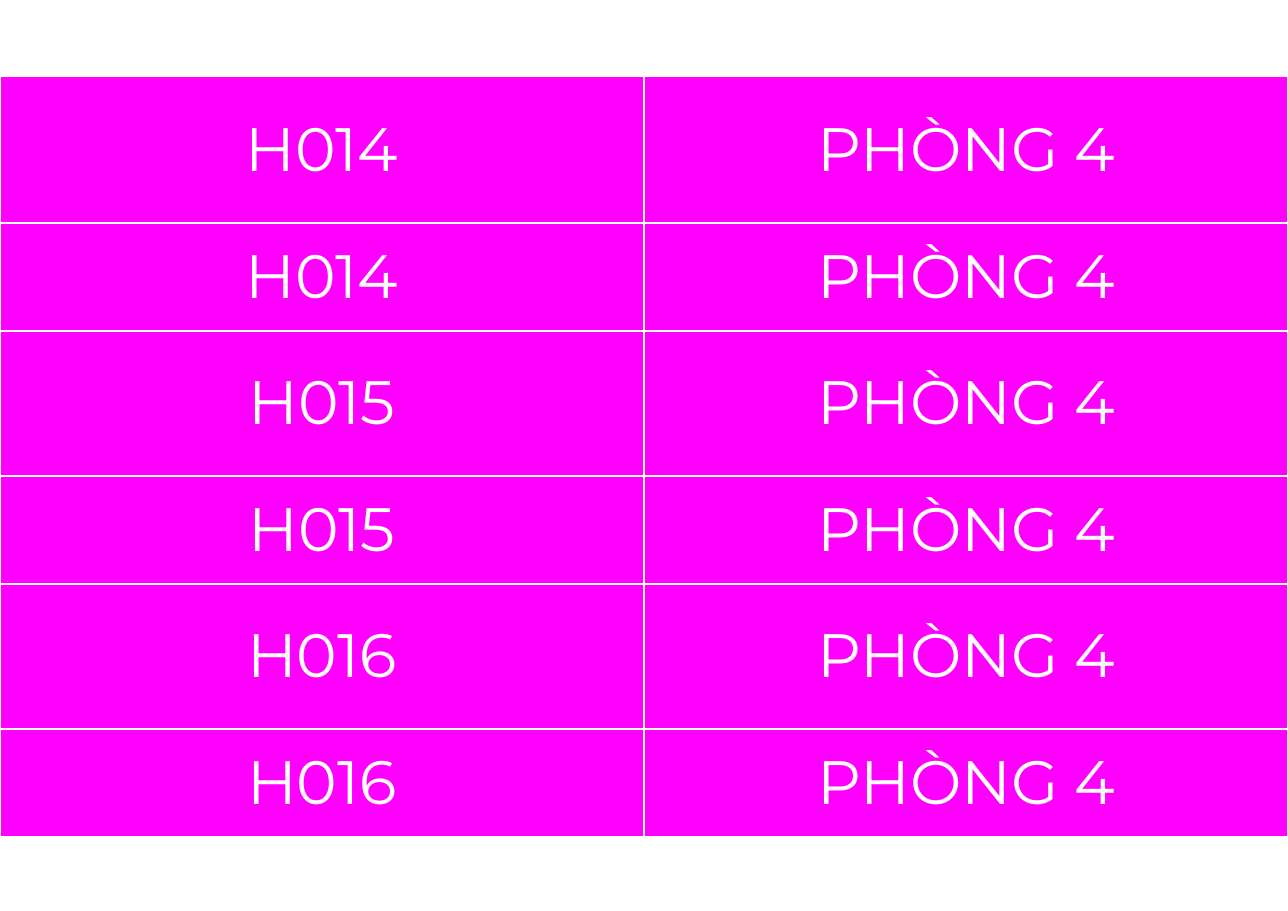
from lxml.etree import SubElement as Sub
from pptx import Presentation
from pptx.dml.color import RGBColor
from pptx.enum.text import MSO_ANCHOR as Anchor, PP_ALIGN as Align
from pptx.oxml.ns import qn
from pptx.util import Pt

WHITE = RGBColor(0xFF, 0xFF, 0xFF)
PINK = RGBColor(0xFF, 0x00, 0xFF)

# Page and row sizes in points
WIDE, HIGH = 841.68, 595.44
TOP, STEP = 49.6, 165.3
TALL, LOW = 96.3, 67.7

ROOMS = ["H014", "H015", "H016"]
HALL = "PHÒNG 4"


class Board:
    font = "Montserrat"
    size = 40
    line = 1.5
    pad_x, pad_y = 8.64, 10.8

    def __init__(self, slide):
        self.slide = slide

    def border(self, cell):
        props = cell._tc.get_or_add_tcPr()
        for side in ("a:lnL", "a:lnR", "a:lnT", "a:lnB"):
            edge = Sub(props, qn(side), w=str(Pt(self.line)))
            fill = Sub(edge, qn("a:solidFill"))
            Sub(fill, qn("a:srgbClr"), val=str(WHITE))

    def cell(self, cell, text):
        self.border(cell)
        cell.fill.solid()
        cell.fill.fore_color.rgb = PINK
        cell.vertical_anchor = Anchor.MIDDLE
        cell.margin_left = cell.margin_right = Pt(self.pad_x)
        cell.margin_top = cell.margin_bottom = Pt(self.pad_y)
        para = cell.text_frame.paragraphs[0]
        para.alignment = Align.CENTER
        run = para.add_run()
        run.text = text
        run.font.name = self.font
        run.font.size = Pt(self.size)
        run.font.color.rgb = WHITE

    def table(self, top, high, texts):
        frame = self.slide.shapes.add_table(
            1, len(texts), 0, Pt(top), Pt(WIDE), Pt(high))
        table = frame.table
        table.first_row = table.horz_banding = False
        for col, text in enumerate(texts):
            table.columns[col].width = Pt(WIDE / len(texts))
            self.cell(table.cell(0, col), text)


def main():
    deck = Presentation()
    deck.slide_width, deck.slide_height = Pt(WIDE), Pt(HIGH)
    board = Board(deck.slides.add_slide(deck.slide_layouts[6]))

    # A tall and a low label for each room, lowest pair at the back
    for i, room in reversed(list(enumerate(ROOMS))):
        top = TOP + i * STEP
        board.table(top, TALL, [room, HALL])
        board.table(top + TALL, LOW, [room, HALL])

    deck.save("out.pptx")


if __name__ == "__main__":
    main()
